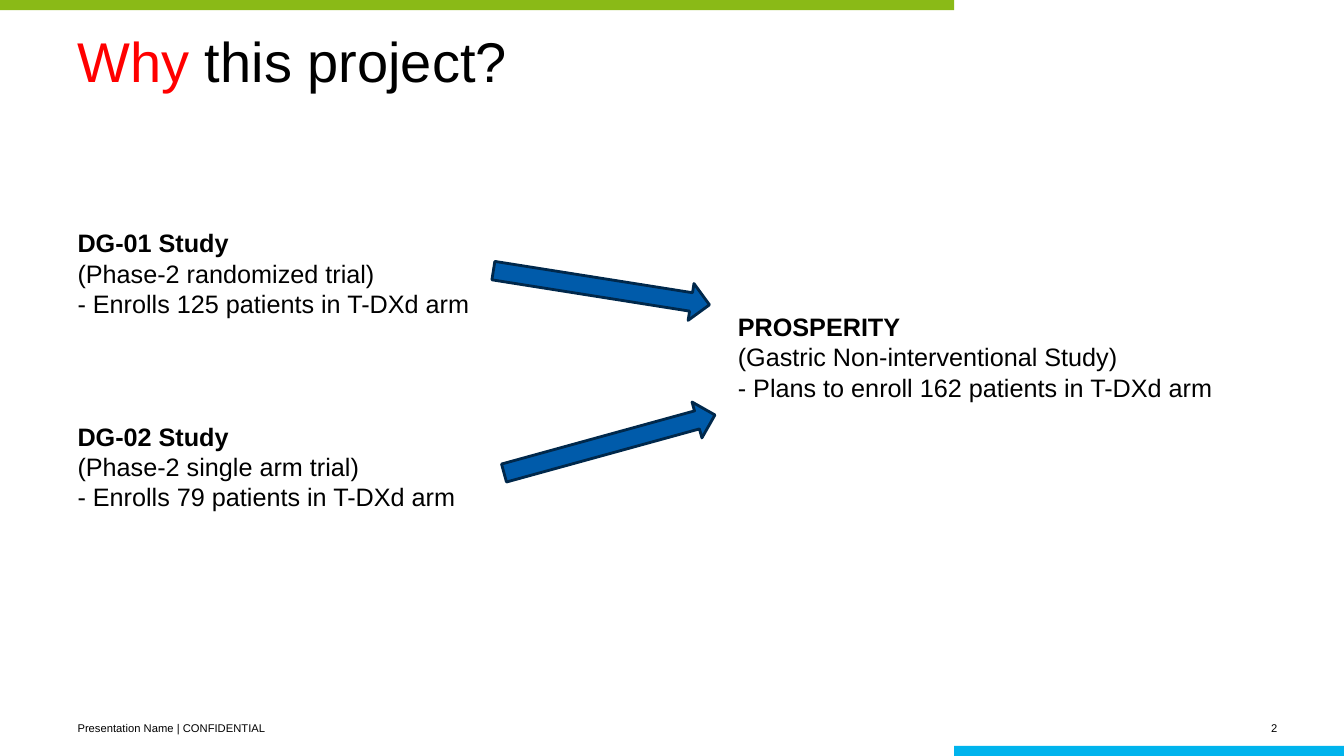
import pptx
import pptx.util
import pptx.dml.color
import pptx.enum.shapes
import pptx.enum.text

COLORS = {"green": "8ABA17", "cyan": "00B4ED", "blue": "005BAA",
          "navy": "00284B", "red": "FF0000", "black": "000000"}
SHAPE = pptx.enum.shapes.MSO_SHAPE
ALIGN = pptx.enum.text.PP_ALIGN
ANCHOR = pptx.enum.text.MSO_ANCHOR

prs = pptx.Presentation()
prs.slide_width = pptx.util.Inches(13.33)
prs.slide_height = pptx.util.Inches(7.5)
s = prs.slides.add_slide(prs.slide_layouts[6])
COL = prs.slide_width / 100
ROW = prs.slide_height / 100
LEFT = 5.03


def add_block(kind, col, row, cols, rows, color):
    sp = s.shapes.add_shape(kind, round(col * COL), round(row * ROW),
                            round(cols * COL), round(rows * ROW))
    sp.shadow.inherit = False
    sp.fill.solid()
    sp.fill.fore_color.rgb = pptx.dml.color.RGBColor.from_string(COLORS[color])
    sp.line.fill.background()
    return sp


def add_text(col, row, cols, rows, paragraphs, size, frame={}, align=ALIGN.LEFT):
    sp = s.shapes.add_textbox(round(col * COL), round(row * ROW),
                              round(cols * COL), round(rows * ROW))
    tf = sp.text_frame
    for name, value in {"word_wrap": True, **frame}.items():
        setattr(tf, name, value)
    for i, runs in enumerate(paragraphs):
        p = tf.add_paragraph() if i else tf.paragraphs[0]
        p.alignment = align
        for text, color, bold in runs:
            r = p.add_run()
            r.text = text
            for name, value in {"name": "Arial", "size": pptx.util.Pt(size), "bold": bold}.items():
                setattr(r.font, name, value)
            r.font.color.rgb = pptx.dml.color.RGBColor.from_string(COLORS[color])


add_block(SHAPE.RECTANGLE, 0, 0, 71, 1.33, "green")
add_block(SHAPE.RECTANGLE, 71, 98.67, 29, 1.33, "cyan")

middle = {"vertical_anchor": ANCHOR.MIDDLE}
no_margins = {f"margin_{side}": 0 for side in ("left", "top", "right", "bottom")}
add_text(71.72, 95.47, 23.33, 2.53, [[("2", "black", False)]], 8, no_margins, ALIGN.RIGHT)
add_text(LEFT, 94.27, 47.49, 4, [[("Presentation Name | CONFIDENTIAL", "black", False)]], 8, middle)
add_text(LEFT, 2.27, 86.05, 11.33,
         [[("Why", "red", False), (" this project?", "black", False)]], 40, middle)

studies = [
    (LEFT, 29.47, 30.98, "DG-01 Study", "(Phase-2 randomized trial)",
     "- Enrolls 125 patients in T-DXd arm"),
    (LEFT, 55.07, 30.98, "DG-02 Study", "(Phase-2 single arm trial)",
     "- Enrolls 79 patients in T-DXd arm"),
    (54.16, 40.53, 41.86, "PROSPERITY", "(Gastric Non-interventional Study)",
     "- Plans to enroll 162 patients in T-DXd arm"),
]
for col, row, cols, name, design, enrollment in studies:
    lines = [[(name, "black", True)], [(design, "black", False)], [(enrollment, "black", False)]]
    add_text(col, row, cols, 13.47, lines, 18)

for col, row, rotation in [(36.61, 35.6, 9), (37.21, 56.27, 344.6)]:
    sp = add_block(SHAPE.RIGHT_ARROW, col, row, 16.28, 4.93, "blue")
    sp.rotation = rotation
    sp.line.color.rgb = pptx.dml.color.RGBColor.from_string(COLORS["navy"])
    sp.line.width = pptx.util.Pt(2)

prs.save("out.pptx")
